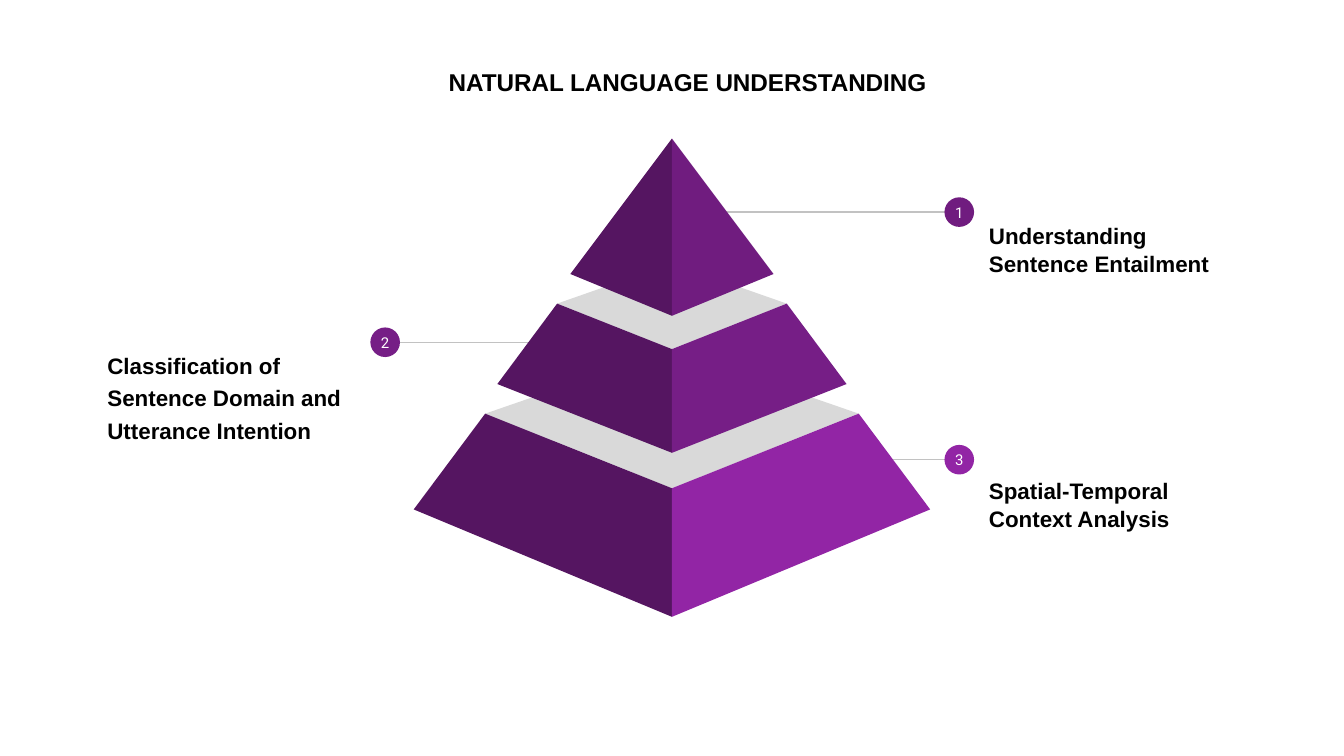
"""Build a slide with a three-tier pyramid and numbered labels."""
import pptx
import pptx.dml.color
import pptx.enum.shapes
import pptx.enum.text
import pptx.util

Cm = pptx.util.Cm
Pt = pptx.util.Pt
RGB = pptx.dml.color.RGBColor
Align = pptx.enum.text.PP_ALIGN
Anchor = pptx.enum.text.MSO_ANCHOR
Shape = pptx.enum.shapes.MSO_SHAPE
Joint = pptx.enum.shapes.MSO_CONNECTOR

BLACK = RGB(0x00, 0x00, 0x00)
WHITE = RGB(0xFF, 0xFF, 0xFF)
GREY = RGB(0xC2, 0xC2, 0xC2)
LID = RGB(0xD9, 0xD9, 0xD9)
SHADE = RGB(0x55, 0x15, 0x61)
TOP = RGB(0x70, 0x1C, 0x7F)
MIDDLE = RGB(0x76, 0x1E, 0x86)
BASE = RGB(0x92, 0x25, 0xA5)

INSET = Cm(0.25)
FRAME = {"word_wrap": True, "vertical_anchor": Anchor.MIDDLE,
         "margin_left": INSET, "margin_right": INSET,
         "margin_top": 0, "margin_bottom": 0}
BOLD = {"name": "Arial", "bold": True}
DIGIT = {"name": "Roboto", "size": Pt(8), "bold": False}


def write(shape, text, frame, para, font, color):
    box = shape.text_frame
    box.text = text
    line = box.paragraphs[0]
    for part, values in ((box, frame), (line, para), (line.font, font)):
        for key, value in values.items():
            setattr(part, key, value)
    line.font.color.rgb = color


def paint(shape, color):
    shape.shadow.inherit = False
    shape.fill.solid()
    shape.fill.fore_color.rgb = color
    shape.line.fill.background()


deck = pptx.Presentation()
deck.slide_width, deck.slide_height = Cm(25.4), Cm(14.29)
slide = deck.slides.add_slide(deck.slide_layouts[5])
shapes = slide.shapes

title = shapes.title
place = {"left": Cm(4.42), "top": Cm(0.38), "width": Cm(17.48), "height": Cm(2.34)}
for key, value in place.items():
    setattr(title, key, value)
write(title, "NATURAL LANGUAGE UNDERSTANDING", FRAME | {"margin_left": Cm(4.06)},
      {"alignment": Align.LEFT}, BOLD | {"size": Pt(13)}, BLACK)

labels = [
    ("3", "Spatial-Temporal Context Analysis", BASE,
     16.76, 18.39, 18.13, 8.69, 18.44, 9.53, 1.05),
    ("2", "Classification of Sentence Domain and Utterance Intention", MIDDLE,
     10.08, 7.19, 7.28, 6.47, 1.78, 7.47, 1.2),
    ("1", "Understanding Sentence Entailment", TOP,
     13.64, 18.39, 18.13, 4.01, 18.44, 4.7, 1.05),
]
size = 0.56
tall = 2
for number, text, color, start, end, mid, level, left, center, space in labels:
    line = shapes.add_connector(Joint.STRAIGHT, Cm(start), Cm(level), Cm(end), Cm(level))
    line.line.color.rgb = GREY
    line.line.width = Pt(0.75)
    line._element.spPr.append(pptx.oxml.parse_xml(
        '<a:effectLst xmlns:a="http://schemas.openxmlformats.org/drawingml/2006/main"/>'))

    note = shapes.add_textbox(Cm(left), Cm(center - tall / 2), Cm(5.18), Cm(tall))
    write(note, text, FRAME, {"alignment": Align.LEFT, "line_spacing": space},
          BOLD | {"size": Pt(12)}, BLACK)

    dot = shapes.add_shape(Shape.OVAL, Cm(mid - size / 2), Cm(level - size / 2),
                           Cm(size), Cm(size))
    paint(dot, color)
    write(dot, number, FRAME | {"word_wrap": False, "margin_left": 0, "margin_right": 0},
          {"alignment": Align.CENTER}, DIGIT, WHITE)

axis = 12.7
tiers = [
    (BASE, 6.6, [(3.53, 7.82), (4.88, 9.63), (0, 11.66), (0, 9.23)]),
    (MIDDLE, 4.98, [(2.17, 5.74), (3.3, 7.26), (0, 8.56), (0, 6.6)]),
    (TOP, None, [(0, 2.62), (1.92, 5.18), (0, 5.97)]),
]
for color, back, face in tiers:
    facets = [(SHADE, [(-x, y) for x, y in face]), (color, face)]
    if back:
        wide, edge = face[0]
        facets.insert(0, (LID, [(-wide, edge), face[-1], (wide, edge), (0, back)]))
    for tint, points in facets:
        spots = [(Cm(axis + x), Cm(y)) for x, y in points]
        pen = shapes.build_freeform(*spots[0])
        pen.add_line_segments(spots[1:], close=True)
        paint(pen.convert_to_shape(), tint)

deck.save("out.pptx")
